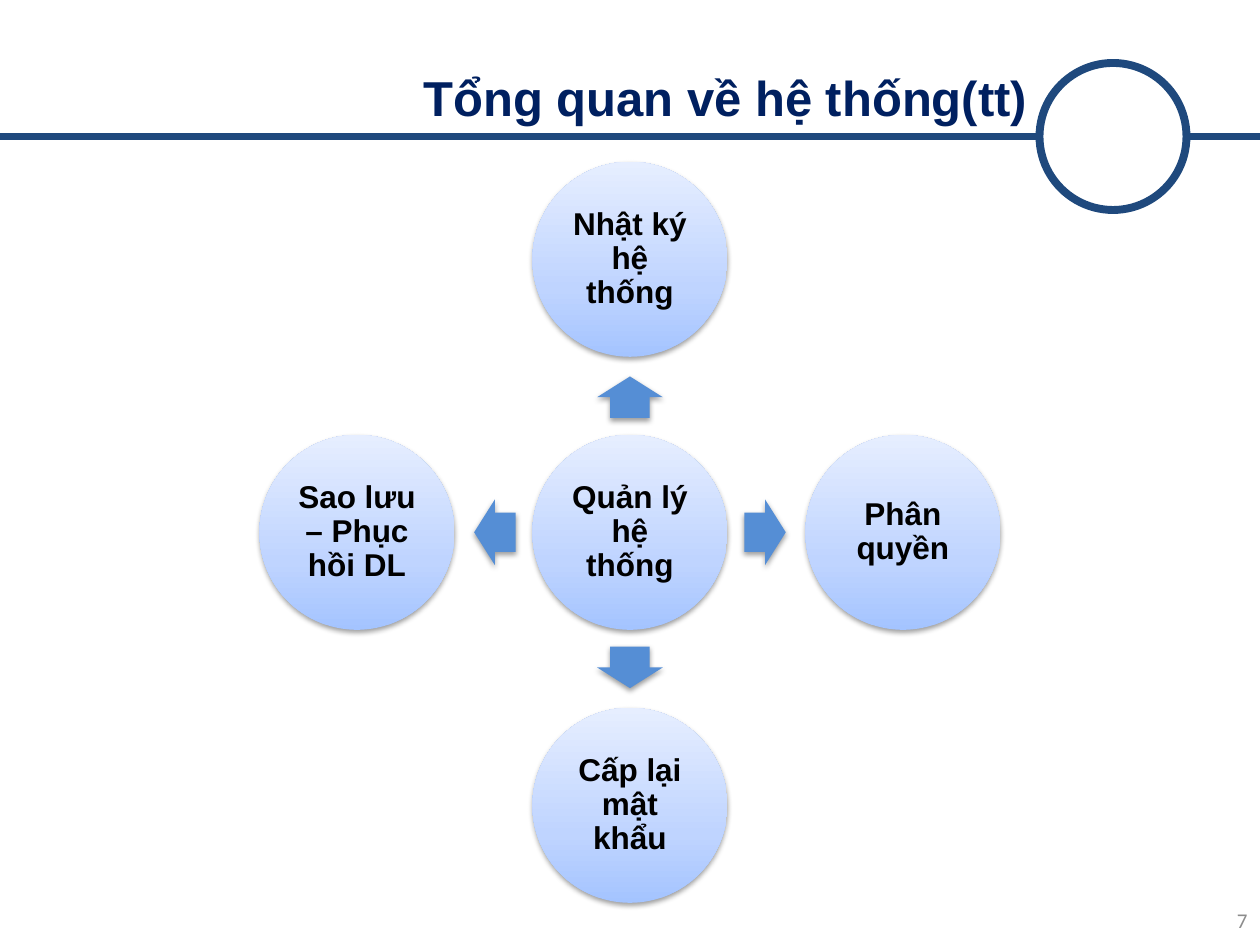
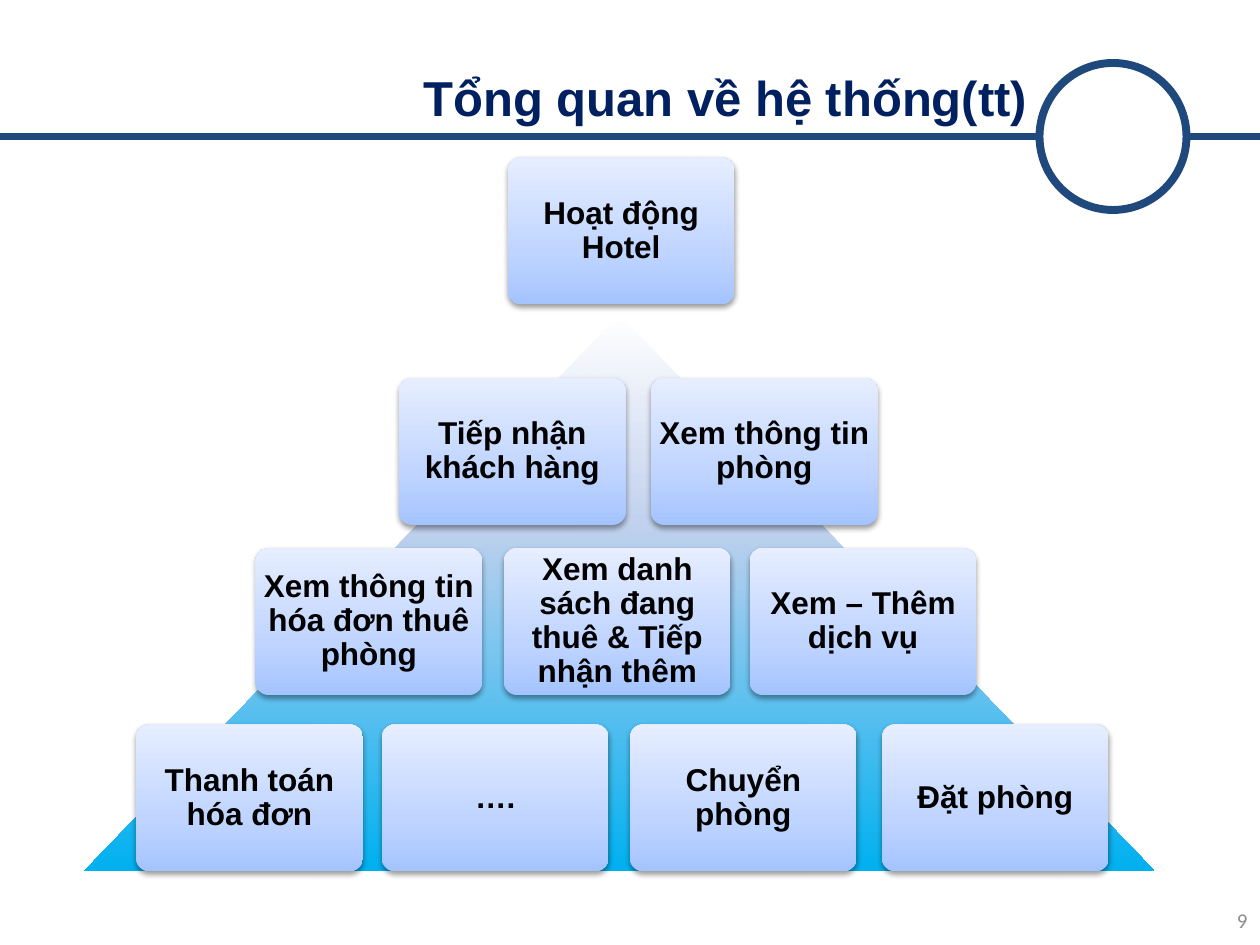
"""Build two hotel system overview slides: a radial diagram and a pyramid."""
from lxml import etree
from pptx import Presentation
from pptx.dml.color import RGBColor
from pptx.enum.shapes import MSO_CONNECTOR, MSO_SHAPE
from pptx.enum.text import MSO_ANCHOR, PP_ALIGN
from pptx.oxml.ns import qn
from pptx.util import Pt

OVAL, ROUNDED, TRIANGLE = MSO_SHAPE.OVAL, MSO_SHAPE.ROUNDED_RECTANGLE, MSO_SHAPE.FLOWCHART_EXTRACT
UP, RIGHT, DOWN, LEFT = (MSO_SHAPE.UP_ARROW, MSO_SHAPE.RIGHT_ARROW,
                         MSO_SHAPE.DOWN_ARROW, MSO_SHAPE.LEFT_ARROW)
STRAIGHT = MSO_CONNECTOR.STRAIGHT
MIDDLE = MSO_ANCHOR.MIDDLE
ALIGN_CENTER, ALIGN_RIGHT = PP_ALIGN.CENTER, PP_ALIGN.RIGHT

TITLE = "Tổng quan về hệ thống(tt)"
HUB = "Quản lý hệ thống"
SPOKES = [
    ("Nhật ký hệ thống", UP, 0, -1),
    ("Phân quyền", RIGHT, 1, 0),
    ("Cấp lại mật khẩu", DOWN, 0, 1),
    ("Sao lưu – Phục hồi DL", LEFT, -1, 0),
]
PYRAMID_ROWS = [
    (90, [(290.2, "Hoạt động Hotel")]),
    (216, [(228, "Tiếp nhận khách hàng"), (372, "Xem thông tin phòng")]),
    (313.2, [(146, "Xem thông tin hóa đơn thuê phòng"),
             (288, "Xem danh sách đang thuê & Tiếp nhận thêm"),
             (428.4, "Xem – Thêm dịch vụ")]),
    (414, [(77.8, "Thanh toán hóa đơn"), (218.2, "…."),
           (360, "Chuyển phòng"), (504, "Đặt phòng")]),
]

NAVY = RGBColor(0x00, 0x20, 0x60)
BAND_BLUE = RGBColor(0x1F, 0x49, 0x7D)
ARROW_BLUE = RGBColor(0x55, 0x8E, 0xD5)
GRAY = RGBColor(0x8C, 0x8C, 0x8C)
BLACK = RGBColor(0, 0, 0)
WHITE = RGBColor(0xFF, 0xFF, 0xFF)
NODE_STOPS = [(0, RGBColor(0xA4, 0xC4, 0xFF)), (35, RGBColor(0xBF, 0xD4, 0xFF)),
              (100, RGBColor(0xE6, 0xEE, 0xFF))]
PYRAMID_STOPS = [(0, WHITE), (37, RGBColor(0xC2, 0xD1, 0xED)),
                 (100, RGBColor(0x00, 0xB0, 0xF0))]

PAGE_WIDTH, PAGE_HEIGHT = 720, 540
BAND_TOP, BAND_WEIGHT = 78, 4.5
CENTER_X, CENTER_Y = 360, 304.2
CIRCLE, CIRCLE_ORBIT = 111.4, 156
ARROW_LENGTH, ARROW_WIDTH, ARROW_ORBIT = 23.7, 37.6, 77.2
CARD_WIDTH, CARD_HEIGHT = 129.6, 84


def add_plain_shape(page, kind, left, top, width, height):
    shape = page.shapes.add_shape(kind, Pt(left), Pt(top), Pt(width), Pt(height))
    shape.shadow.inherit = False
    shape.line.fill.background()
    return shape


def fill_solid(shape, color):
    shape.fill.solid()
    shape.fill.fore_color.rgb = color


def fill_gradient(shape, stops, angle):
    shape.fill.gradient()
    shape.fill.gradient_angle = angle
    stop_list = shape._element.spPr.find(".//" + qn("a:gsLst"))
    for stop in list(stop_list):
        stop_list.remove(stop)
    for percent, color in stops:
        stop = etree.SubElement(stop_list, qn("a:gs"), pos=str(percent * 1000))
        etree.SubElement(stop, qn("a:srgbClr"), val=str(color))


def add_shadow(shape):
    effects = shape._element.spPr.find(qn("a:effectLst"))
    shadow = etree.SubElement(effects, qn("a:outerShdw"), blurRad=str(Pt(3.1)),
                              dist=str(Pt(1.6)), dir="5400000", rotWithShape="0")
    color = etree.SubElement(shadow, qn("a:srgbClr"), val=str(BLACK))
    etree.SubElement(color, qn("a:alpha"), val="38000")


def write_text(box, text, font, size, color, align, bold=False):
    frame = box.text_frame
    frame.word_wrap = True
    frame.vertical_anchor = MIDDLE
    para = frame.paragraphs[0]
    para.alignment = align
    span = para.add_run()
    span.text = text
    span.font.name, span.font.size, span.font.bold = font, Pt(size), bold
    span.font.color.rgb = color
    return frame


def add_label(page, text, font, size, color, bold, left, top, width, height):
    box = page.shapes.add_textbox(Pt(left), Pt(top), Pt(width), Pt(height))
    write_text(box, text, font, size, color, ALIGN_RIGHT, bold)


def add_node(page, kind, text, left, top, width, height, inset):
    node = add_plain_shape(page, kind, left, top, width, height)
    fill_gradient(node, NODE_STOPS, 90)
    add_shadow(node)
    frame = write_text(node, text, "Arial", 18, BLACK, ALIGN_CENTER, True)
    frame.paragraphs[0].line_spacing = 0.9
    frame.margin_left = frame.margin_right = Pt(inset)
    frame.margin_top = frame.margin_bottom = Pt(inset)
    return node


def add_page(deck, number):
    page = deck.slides.add_slide(deck.slide_layouts[6])
    band = page.shapes.add_connector(STRAIGHT, 0, Pt(BAND_TOP), Pt(PAGE_WIDTH), Pt(BAND_TOP))
    etree.SubElement(band._element.spPr, qn("a:effectLst"))
    ring = add_plain_shape(page, OVAL, 594, 36, 84, 84)
    fill_solid(ring, WHITE)
    for outlined in (band, ring):
        outlined.line.color.rgb = BAND_BLUE
        outlined.line.width = Pt(BAND_WEIGHT)
    add_label(page, str(number), "Calibri", 12, GRAY, False, 552, 511.2, 168, 28.8)
    add_label(page, TITLE, "Arial", 28, NAVY, True, 0, 30, 594, 50.4)
    return page


def add_circle(page, text, center_x, center_y):
    add_node(page, OVAL, text, center_x - CIRCLE / 2, center_y - CIRCLE / 2,
             CIRCLE, CIRCLE, 1.6)


def add_arrow(page, kind, step_x, step_y):
    width, height = (ARROW_LENGTH, ARROW_WIDTH) if step_x else (ARROW_WIDTH, ARROW_LENGTH)
    arrow = add_plain_shape(page, kind, CENTER_X + step_x * ARROW_ORBIT - width / 2,
                            CENTER_Y + step_y * ARROW_ORBIT - height / 2, width, height)
    arrow.adjustments[0], arrow.adjustments[1] = 0.6, 0.5
    fill_solid(arrow, ARROW_BLUE)
    add_shadow(arrow)


def draw_radial(page):
    add_circle(page, HUB, CENTER_X, CENTER_Y)
    for text, arrow_kind, step_x, step_y in SPOKES:
        add_arrow(page, arrow_kind, step_x, step_y)
        add_circle(page, text, CENTER_X + step_x * CIRCLE_ORBIT,
                   CENTER_Y + step_y * CIRCLE_ORBIT)


def draw_pyramid(page):
    pyramid = add_plain_shape(page, TRIANGLE, 48, 180, 612, 318)
    fill_gradient(pyramid, PYRAMID_STOPS, 270)
    for top, cards in PYRAMID_ROWS:
        for left, text in cards:
            card = add_node(page, ROUNDED, text, left, top, CARD_WIDTH, CARD_HEIGHT, 0)
            card.adjustments[0] = 0.09


def main():
    deck = Presentation()
    deck.slide_width, deck.slide_height = Pt(PAGE_WIDTH), Pt(PAGE_HEIGHT)
    draw_radial(add_page(deck, 7))
    draw_pyramid(add_page(deck, 9))
    deck.save("out.pptx")


if __name__ == "__main__":
    main()
